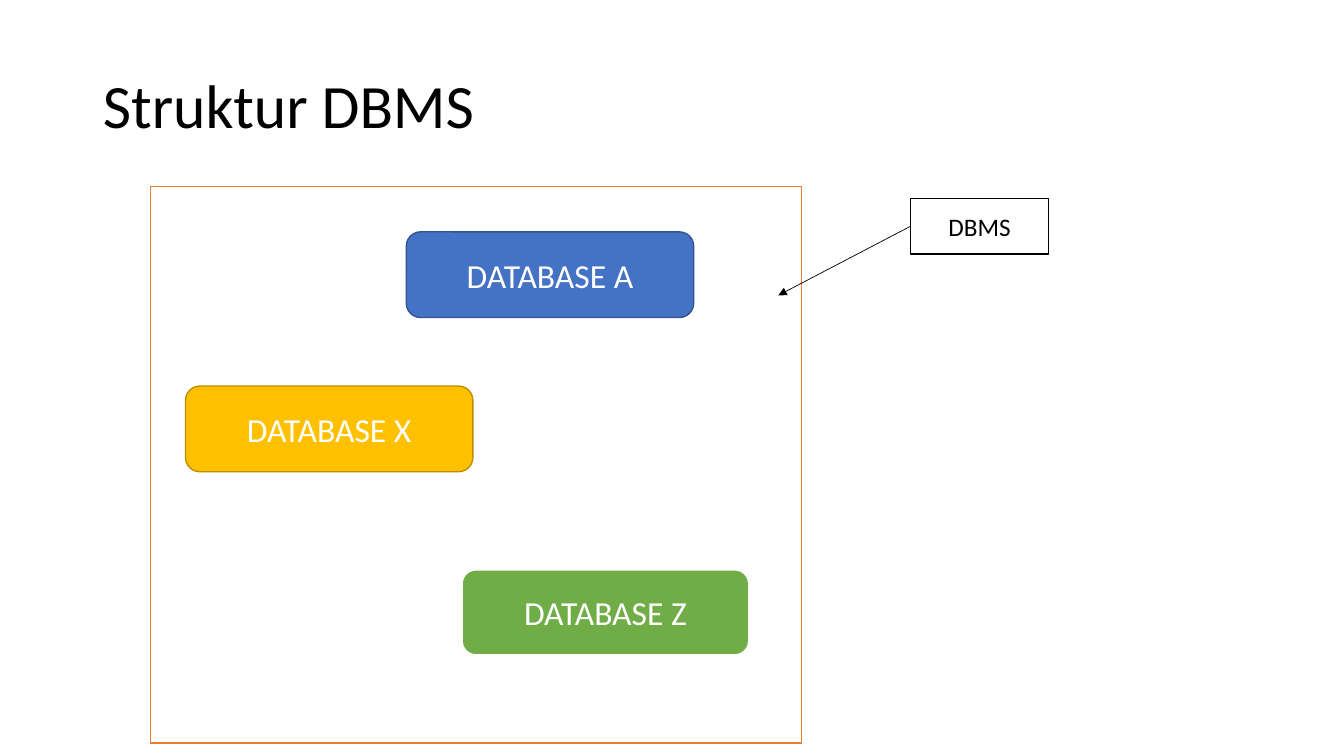
from lxml.etree import SubElement
from pptx import Presentation
from pptx.dml.color import RGBColor
from pptx.enum.shapes import MSO_CONNECTOR, MSO_SHAPE
from pptx.enum.text import MSO_ANCHOR, PP_ALIGN
from pptx.oxml.ns import qn
from pptx.util import Inches, Pt

BLACK = RGBColor(0x00, 0x00, 0x00)
WHITE = RGBColor(0xFF, 0xFF, 0xFF)
ORANGE = RGBColor(0xED, 0x7D, 0x31)
BLUE = RGBColor(0x44, 0x72, 0xC4)
DARK_BLUE = RGBColor(0x32, 0x54, 0x91)
GOLD = RGBColor(0xFF, 0xC0, 0x00)
DARK_GOLD = RGBColor(0xBD, 0x8E, 0x00)
GREEN = RGBColor(0x70, 0xAD, 0x47)
FONT = "Calibri"

# Content: positions and sizes in inches
TITLE = "Struktur DBMS"
TITLE_BOX = (0.92, 0.4, 11.5, 1.35)
FRAME_BOX = (1.49, 1.85, 6.46, 5.52)
DATABASE_SIZE = (2.85, 0.85)
DATABASES = [  # label, left, top, fill, line, line width
    ("DATABASE A", 4.03, 2.3, BLUE, DARK_BLUE, 1),
    ("DATABASE X", 1.84, 3.83, GOLD, DARK_GOLD, 1),
    ("DATABASE Z", 4.58, 5.65, GREEN, WHITE, 1.5),
]
LABEL = "DBMS"
LABEL_BOX = (9.03, 1.97, 1.37, 0.55)
ARROW_TIP = (7.72, 2.93)


def write_text(shape, text, size, color, alignment):
    text_frame = shape.text_frame
    text_frame.text = text
    text_frame.word_wrap = True
    text_frame.vertical_anchor = MSO_ANCHOR.MIDDLE
    paragraph = text_frame.paragraphs[0]
    paragraph.alignment = alignment
    font = paragraph.runs[0].font
    font.name, font.size = FONT, Pt(size)
    font.color.rgb = color


def add_box(slide, kind, box, fill, line, line_width=1):
    shape = slide.shapes.add_shape(kind, *map(Inches, box))
    shape.shadow.inherit = False
    shape.fill.solid()
    shape.fill.fore_color.rgb = fill
    shape.line.color.rgb = line
    shape.line.width = Pt(line_width)
    return shape


def add_arrow(slide, start, end):
    arrow = slide.shapes.add_connector(
        MSO_CONNECTOR.STRAIGHT, *map(Inches, start + end))
    arrow.line.color.rgb = BLACK
    arrow.line.width = Pt(0.5)
    SubElement(arrow.line._get_or_add_ln(), qn("a:tailEnd"), type="triangle")
    SubElement(arrow._element.spPr, qn("a:effectLst"))


def main():
    presentation = Presentation()
    presentation.slide_width = Inches(13.33)
    presentation.slide_height = Inches(7.5)
    slide = presentation.slides.add_slide(presentation.slide_layouts[5])

    # Title
    title = slide.shapes.title
    title.left, title.top, title.width, title.height = map(Inches, TITLE_BOX)
    write_text(title, TITLE, 44, BLACK, PP_ALIGN.LEFT)
    title.text_frame.paragraphs[0].line_spacing = 0.9

    # System frame with its databases
    add_box(slide, MSO_SHAPE.RECTANGLE, FRAME_BOX, WHITE, ORANGE)
    for name, left, top, fill, line, line_width in DATABASES:
        database = add_box(slide, MSO_SHAPE.ROUNDED_RECTANGLE,
                           (left, top) + DATABASE_SIZE, fill, line, line_width)
        write_text(database, name, 24, WHITE, PP_ALIGN.CENTER)

    # Label and its arrow, from the middle of the left edge
    label = add_box(slide, MSO_SHAPE.RECTANGLE, LABEL_BOX, WHITE, BLACK)
    write_text(label, LABEL, 18, BLACK, PP_ALIGN.CENTER)
    left, top, _, height = LABEL_BOX
    add_arrow(slide, (left, top + height / 2), ARROW_TIP)

    presentation.save("out.pptx")


if __name__ == "__main__":
    main()
